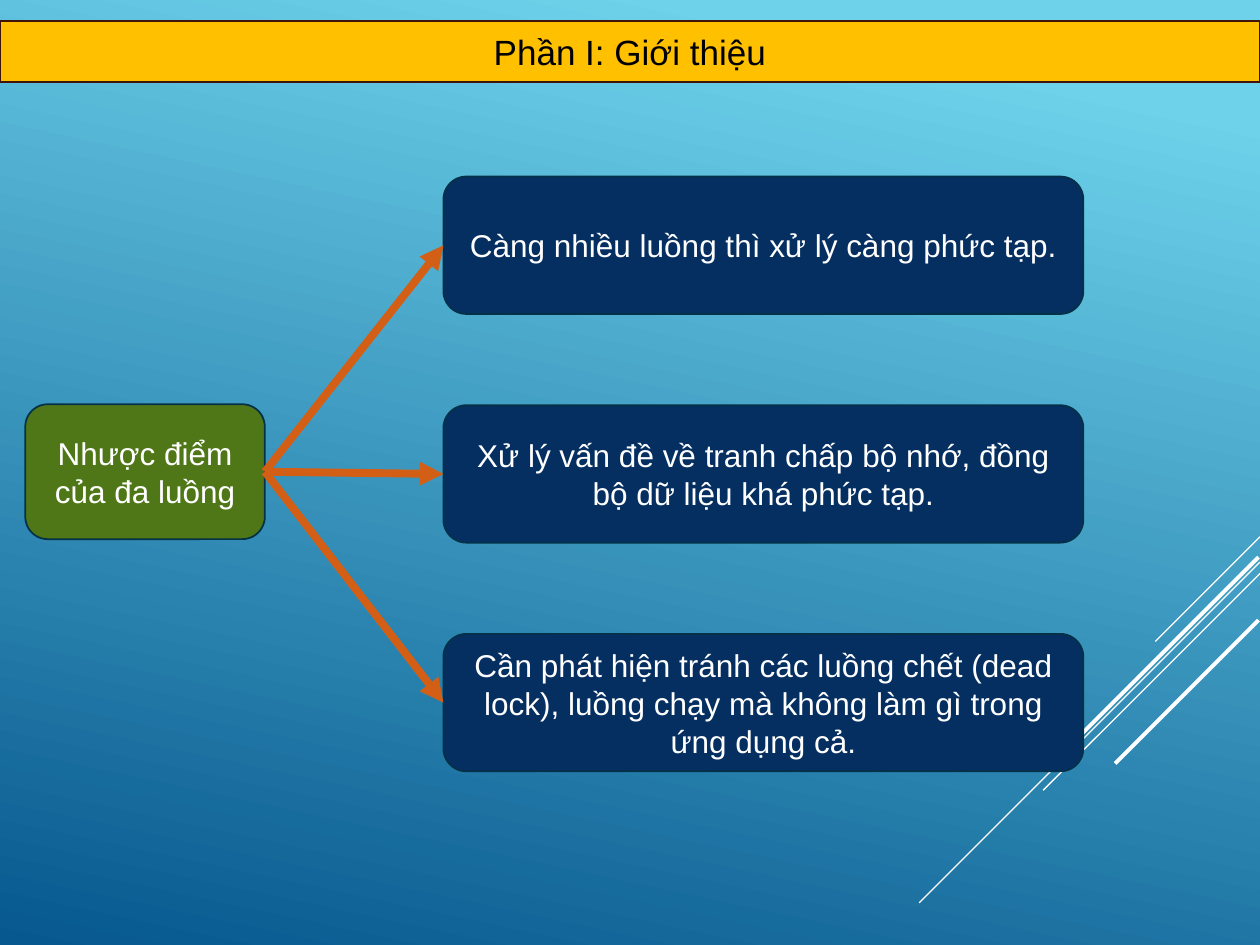
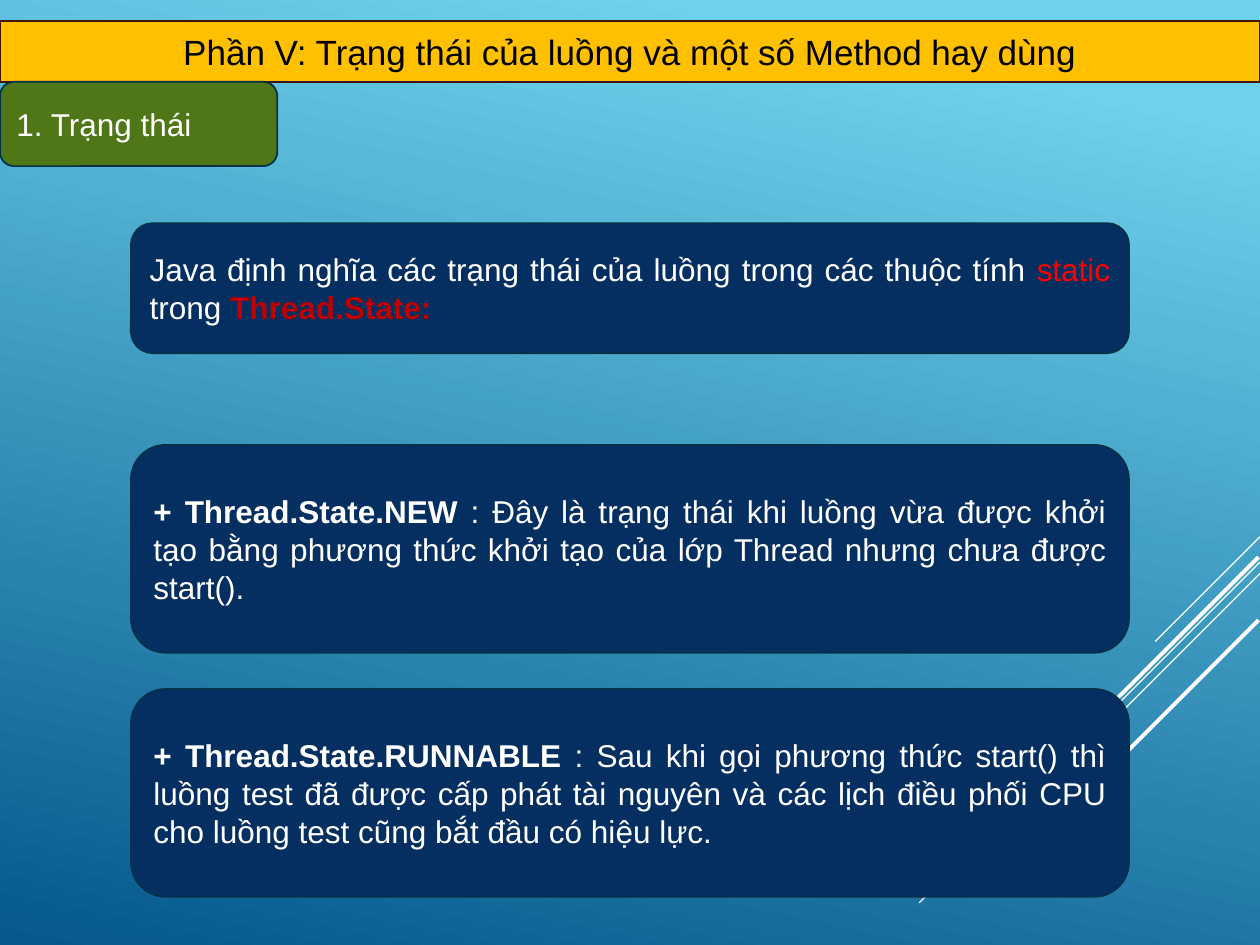
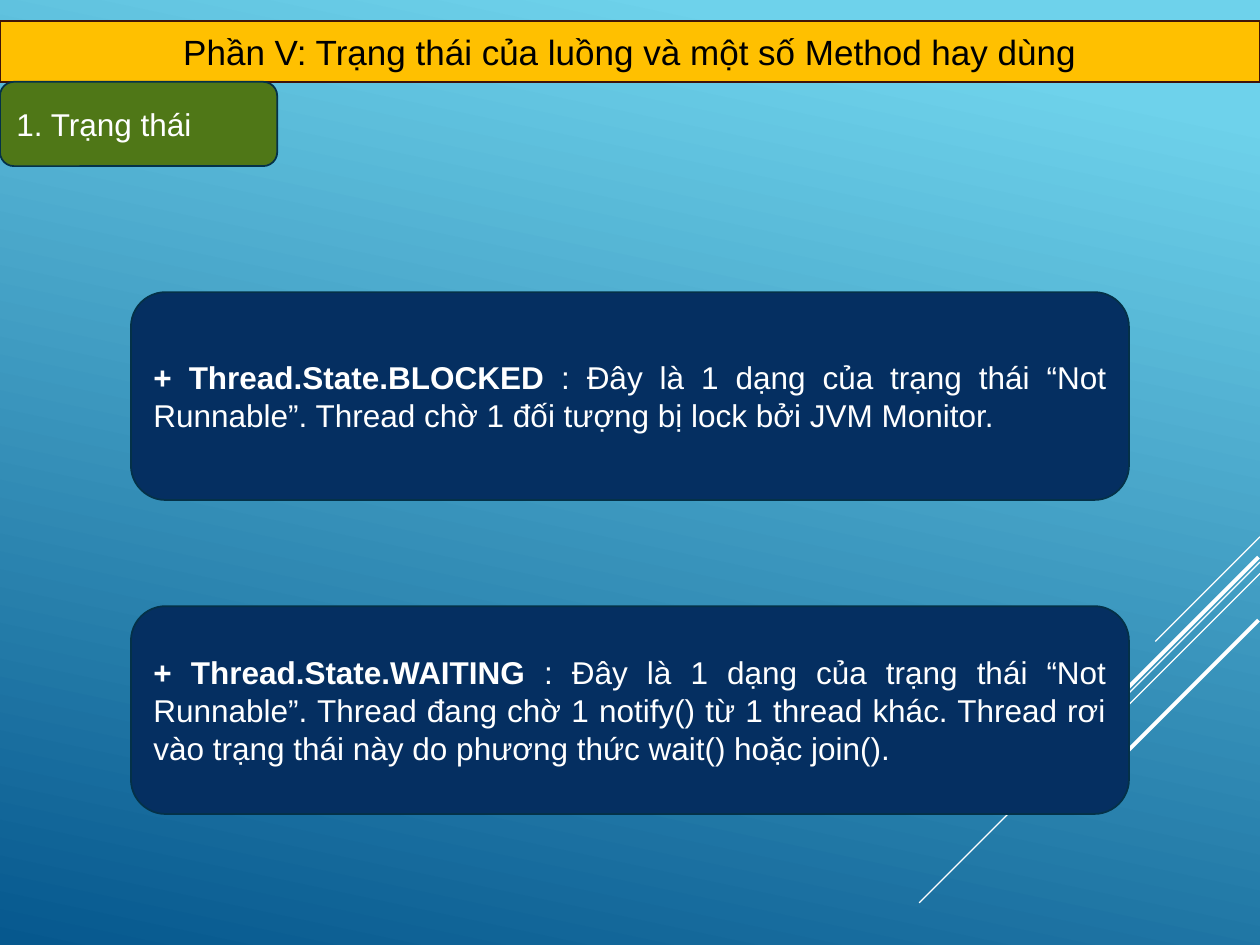
from lxml.etree import SubElement
from pptx import Presentation
from pptx.dml.color import RGBColor
from pptx.enum.shapes import MSO_CONNECTOR, MSO_SHAPE
from pptx.enum.text import MSO_ANCHOR, MSO_AUTO_SIZE, PP_ALIGN
from pptx.oxml.ns import qn
from pptx.util import Cm, Pt

# Colours and font
SKY = RGBColor(0x6E, 0xD2, 0xEB)
DEEP = RGBColor(0x06, 0x58, 0x8E)
NAVY = RGBColor(0x05, 0x2F, 0x61)
EDGE = RGBColor(0x04, 0x31, 0x48)
GREEN = RGBColor(0x4F, 0x77, 0x17)
GOLD = RGBColor(0xFF, 0xC0, 0x00)
BROWN = RGBColor(0x40, 0x14, 0x08)
ORANGE = RGBColor(0xD3, 0x5F, 0x17)
RED = RGBColor(0xFF, 0x00, 0x00)
DARK_RED = RGBColor(0xC0, 0x00, 0x00)
WHITE = RGBColor(0xFF, 0xFF, 0xFF)
BLACK = RGBColor(0x00, 0x00, 0x00)
FONT = "Arial"

# Content: a run is (text, colour, bold)
INTRO = "Phần I: Giới thiệu"
ROOT = "Nhược điểm của đa luồng"
FLAWS = [
    "Càng nhiều luồng thì xử lý càng phức tạp.",
    "Xử lý vấn đề về tranh chấp bộ nhớ, đồng bộ dữ liệu khá phức tạp.",
    "Cần phát hiện tránh các luồng chết (dead lock), luồng chạy mà không làm gì "
    "trong ứng dụng cả.",
]
STATES = "Phần V: Trạng thái của luồng và một số Method hay dùng"
TAB = "1. Trạng thái"
LEAD = [
    ("Java định nghĩa các trạng thái của luồng trong các thuộc tính ", WHITE, False),
    ("static", RED, False),
    (" trong ", WHITE, False),
    ("Thread.State:", DARK_RED, True),
]


def state(name, text):
    return [(f"+ Thread.State.{name}", WHITE, True), (f" : {text}", WHITE, False)]


NEW = state("NEW", "Đây là trạng thái khi luồng vừa được khởi tạo bằng phương thức "
            "khởi tạo của lớp Thread nhưng chưa được start().")
RUN = state("RUNNABLE", "Sau khi gọi phương thức start() thì luồng test đã được cấp "
            "phát tài nguyên và các lịch điều phối CPU cho luồng test cũng bắt đầu "
            "có hiệu lực.")
BLOCK = state("BLOCKED", "Đây là 1 dạng của trạng thái “Not Runnable”. Thread chờ "
              "1 đối tượng bị lock bởi JVM Monitor.")
WAIT = state("WAITING", "Đây là 1 dạng của trạng thái “Not Runnable”. Thread đang chờ "
             "1 notify() từ 1 thread khác. Thread rơi vào trạng thái này do phương "
             "thức wait() hoặc join().")

# Panels of each state slide: (top, height, runs) in cm
TALL = 4.19
PAGES = [
    [(4.5, 2.62, LEAD), (8.97, TALL, NEW), (13.89, TALL, RUN)],
    [(5.89, TALL, BLOCK), (12.22, TALL, WAIT)],
]

# Diagonal corner strokes: (right, top, reach, weight)
STROKES = [
    (25.4, 10.82, 2.11, 0.75),
    (25.4, 11.33, 6.87, 0.75),
    (25.4, 11.56, 4.37, 0.75),
    (25.37, 11.23, 3.98, 2.25),
    (25.37, 12.5, 2.89, 2.25),
]


def paint(shape, fill, edge):
    shape.fill.solid()
    shape.fill.fore_color.rgb = fill
    shape.line.color.rgb = edge
    shape.line.width = Pt(1)


def write(shape, runs, size, align):
    frame = shape.text_frame
    frame.word_wrap = True
    frame.auto_size = MSO_AUTO_SIZE.NONE
    frame.vertical_anchor = MSO_ANCHOR.MIDDLE
    para = frame.paragraphs[0]
    para.alignment = align
    for text, colour, bold in runs:
        run = para.add_run()
        run.text = text
        run.font.name = FONT
        run.font.size = Pt(size)
        run.font.color.rgb = colour
        run.font.bold = bold


def add_box(slide, place, fill, runs, align=PP_ALIGN.CENTER):
    box = slide.shapes.add_shape(MSO_SHAPE.ROUNDED_RECTANGLE, *map(Cm, place))
    box.shadow.inherit = False
    paint(box, fill, EDGE)
    write(box, runs, 18, align)
    return box


def add_line(slide, ends, colour, weight):
    line = slide.shapes.add_connector(MSO_CONNECTOR.STRAIGHT, *map(Cm, ends))
    line.line.color.rgb = colour
    line.line.width = Pt(weight)
    SubElement(line._element.spPr, qn("a:effectLst"))
    return line


def add_arrow(slide, start, end):
    arrow = add_line(slide, (0, 0, 1, 1), ORANGE, 4.5)
    arrow.begin_connect(start, 3)
    arrow.end_connect(end, 1)
    SubElement(arrow.line._get_or_add_ln(), qn("a:tailEnd"), type="triangle")


def add_page(deck, title):
    slide = deck.slides.add_slide(deck.slide_layouts[5])
    for right, top, reach, weight in STROKES:
        add_line(slide, (right, top, right - reach, top + reach), WHITE, weight)
    band = slide.shapes.title
    band.left, band.top, band.width, band.height = map(Cm, (0, 0.43, 25.4, 1.22))
    paint(band, GOLD, BROWN)
    write(band, [(title, BLACK, False)], 20, PP_ALIGN.CENTER)
    return slide


def set_back(deck):
    fill = deck.slide_master.background.fill
    fill.gradient()
    fill.gradient_angle = 258
    for stop, (spot, colour) in zip(fill.gradient_stops, [(0.1, SKY), (1, DEEP)]):
        stop.position = spot
        stop.color.rgb = colour


def main():
    deck = Presentation()
    deck.slide_width, deck.slide_height = Cm(25.4), Cm(19.05)
    set_back(deck)

    # Drawbacks: one root with an arrow to each flaw
    slide = add_page(deck, INTRO)
    root = add_box(slide, (0.51, 8.15, 4.83, 2.72), GREEN, [(ROOT, WHITE, False)])
    flaws = [
        add_box(slide, (8.94, 3.56 + 4.61 * i, 12.9, 2.77), NAVY, [(text, WHITE, False)])
        for i, text in enumerate(FLAWS)
    ]
    for flaw in flaws:
        add_arrow(slide, root, flaw)

    # Thread states: a tab and stacked panels
    for panels in PAGES:
        slide = add_page(deck, STATES)
        add_box(slide, (0, 1.65, 5.59, 1.7), GREEN, [(TAB, WHITE, False)], PP_ALIGN.LEFT)
        for top, height, runs in panels:
            add_box(slide, (2.64, top, 20.12, height), NAVY, runs, PP_ALIGN.JUSTIFY)

    deck.save("out.pptx")


if __name__ == "__main__":
    main()
